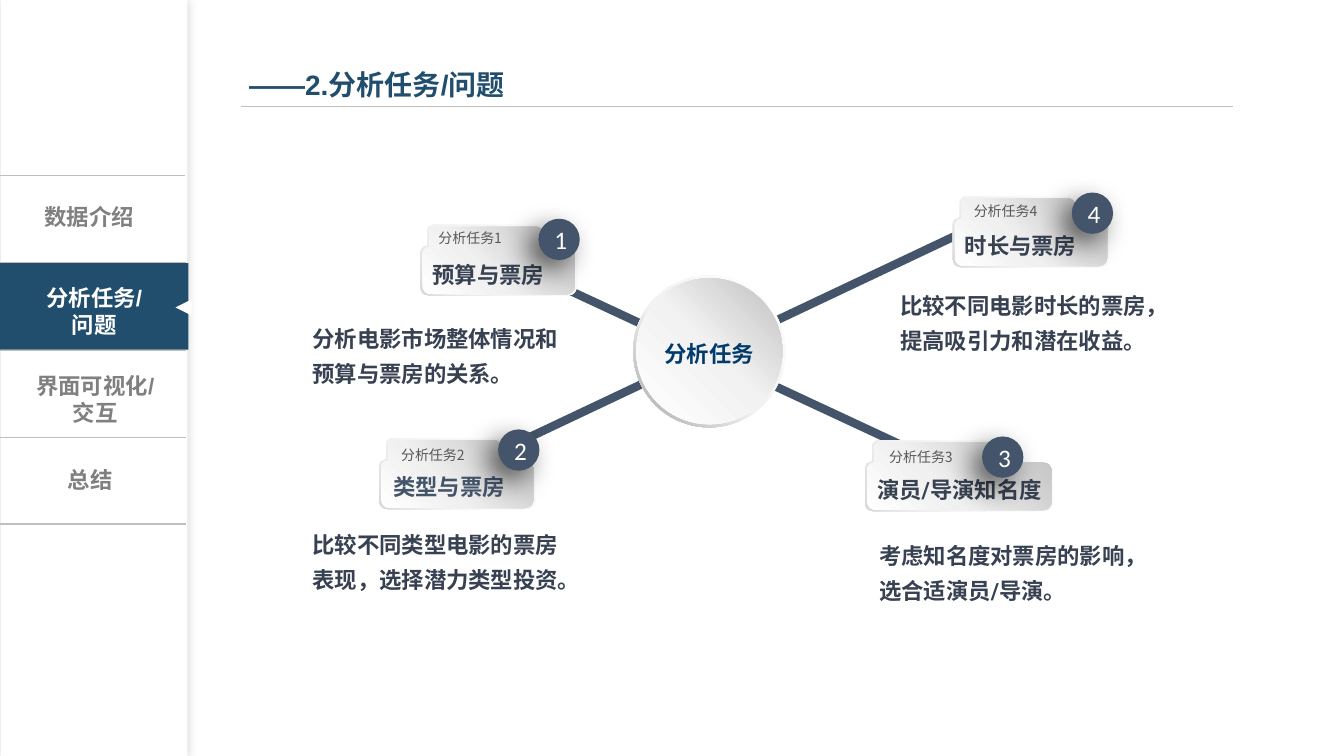
from copy import deepcopy

from lxml import etree
from pptx import Presentation
from pptx.dml.color import RGBColor
from pptx.enum.shapes import MSO_CONNECTOR, MSO_SHAPE
from pptx.enum.text import MSO_ANCHOR, MSO_AUTO_SIZE, PP_ALIGN
from pptx.oxml.ns import qn
from pptx.util import Inches, Pt

LEFT, CENTER = PP_ALIGN.LEFT, PP_ALIGN.CENTER
TOP, MIDDLE = MSO_ANCHOR.TOP, MSO_ANCHOR.MIDDLE
RECTANGLE, TRIANGLE = MSO_SHAPE.RECTANGLE, MSO_SHAPE.ISOSCELES_TRIANGLE
OVAL, DONUT = MSO_SHAPE.OVAL, MSO_SHAPE.DONUT
STRAIGHT = MSO_CONNECTOR.STRAIGHT
NO_AUTOFIT = MSO_AUTO_SIZE.NONE

COLORS = {
    "white": "FFFFFF", "navy": "204E6C", "rule": "BFBFBF", "muted": "808080",
    "slate": "44546A", "ink": "374151", "label": "595959", "hub": "013B6D",
}
CJK_FONT = "Noto Sans CJK SC"

TITLE = "——2.分析任务/问题"
HUB = "分析任务"
NAVIGATION = [
    (["数据介绍"], "muted", (0.15, 1.97, 1.47, 0.38)),
    (["分析任务/\n问题"], "white", (0.2, 2.77, 1.47, 0.64)),
    (["界面可视化/", "交互"], "muted", (0.21, 3.64, 1.47, 0.64)),
    (["总结"], "muted", (0.16, 4.58, 1.47, 0.38)),
]
TASKS = [
    {"number": "1", "name": "预算与票房", "color": "ink", "card": (4.17, 2.23, 1.55),
     "label": (4.25, 2.23, 0.93), "heading": (4.19, 2.54, 1.46), "badge": (5.34, 2.17),
     "body": (3, 3.1), "text": "分析电影市场整体情况和预算与票房的关系。"},
    {"number": "2", "name": "类型与票房", "color": "slate", "card": (3.76, 4.35, 1.55),
     "label": (3.88, 4.38, 0.97), "heading": (3.8, 4.64, 1.62), "badge": (4.94, 4.26),
     "body": (3, 5.14), "text": "比较不同类型电影的票房表现，选择潜力类型投资。"},
    {"number": "3", "name": "演员/导演知名度", "color": "ink", "card": (8.58, 4.37, 1.87),
     "label": (8.72, 4.4, 0.91), "heading": (8.6, 4.67, 1.99), "badge": (9.74, 4.33),
     "body": (8.62, 5.25), "text": "考虑知名度对票房的影响，选合适演员/导演。"},
    {"number": "4", "name": "时长与票房", "color": "ink", "card": (9.45, 1.95, 1.55),
     "label": (9.56, 1.96, 0.89), "heading": (9.47, 2.25, 1.54), "badge": (10.63, 1.91),
     "body": (8.83, 2.77), "text": "比较不同电影时长的票房，提高吸引力和潜在收益。"},
]
SPOKES = [((9.4, 4.63), (5.43, 2.78)), ((4.57, 4.66), (9.56, 2.3))]

CARD_EDGE = ([(0, "FFFFFF"), (62, "F2F2F2"), (100, "D9D9D9")], 135)
CARD_FACE = ([(0, "FFFFFF"), (39, "F0F0F0"), (100, "BFBFBF")], 315)
HUB_EDGE = ([(0, "FFFFFF"), (55, "F2F2F2"), (100, "A6A6A6")], 135)
HUB_FACE = ([(0, "FFFFFF"), (51, "F2F2F2"), (100, "BFBFBF")], 315)
SIDEBAR_WIDTH, NAV_TOP = 1.85, 1.74
NAV_ROWS = [0.87, 0.87, 0.86, 0.86]
CARD_HEIGHT, BADGE_SIZE = 0.7, 0.41
HUB_CENTER = (7.035, 3.485)
CURVE = 0.55
UNITS = 1000

presentation = Presentation()
presentation.slide_width, presentation.slide_height = Inches(13.33), Inches(7.5)
slide = presentation.slides.add_slide(presentation.slide_layouts[5])
shapes = slide.shapes


def rgb(name):
    return RGBColor.from_string(COLORS[name])


def box(left, top, width, height):
    return [Inches(value) for value in (left, top, width, height)]


def write(shape, lines, size, color, font="Arial", bold=True, align=LEFT,
          anchor=TOP, insets=(0.1, 0.05), spacing=None):
    frame = shape.text_frame
    frame.word_wrap, frame.auto_size = True, NO_AUTOFIT
    frame.vertical_anchor = anchor
    frame.margin_left = frame.margin_right = Inches(insets[0])
    frame.margin_top = frame.margin_bottom = Inches(insets[1])
    for index, line in enumerate(lines):
        paragraph = frame.add_paragraph() if index else frame.paragraphs[0]
        paragraph.alignment = align
        paragraph.line_spacing = spacing
        for part, piece in enumerate(line.split("\n")):
            if part:
                paragraph.add_line_break()
                paragraph._p[-1].append(deepcopy(run.font._element))
            run = paragraph.add_run()
            run.text = piece
            run.font.size, run.font.bold = Pt(size), bold
            run.font.color.rgb = rgb(color)
            run.font.name = font
            etree.SubElement(run.font._element, qn("a:ea"), typeface=CJK_FONT)


def add_text(area, lines, size, color, **options):
    write(shapes.add_textbox(*box(*area)), lines, size, color, **options)


def paint(shape, color=None, gradient=None):
    shape.shadow.inherit = False
    shape.line.fill.background()
    if color:
        shape.fill.solid()
        shape.fill.fore_color.rgb = rgb(color)
        return
    stops, angle = gradient
    shape.fill.gradient()
    shape.fill.gradient_angle = 360 - angle
    stop_list = shape._element.spPr.find(qn("a:gradFill")).find(qn("a:gsLst"))
    for stop in list(stop_list):
        stop_list.remove(stop)
    for position, value in stops:
        stop = etree.SubElement(stop_list, qn("a:gs"), pos=str(position * 1000))
        etree.SubElement(stop, qn("a:srgbClr"), val=value)


def add_filled(kind, area, color=None, gradient=None):
    shape = shapes.add_shape(kind, *box(*area))
    paint(shape, color, gradient)
    return shape


def add_shadow(shape, alpha, blur, distance, angle):
    effects = shape._element.spPr.find(qn("a:effectLst"))
    shadow = etree.SubElement(
        effects, qn("a:outerShdw"), blurRad=str(Pt(blur)), dist=str(Pt(distance)),
        dir=str(angle * 60000), algn="ctr", rotWithShape="0")
    color = etree.SubElement(shadow, qn("a:srgbClr"), val="000000")
    etree.SubElement(color, qn("a:alpha"), val=str(alpha * 1000))


def add_line(start, end, color, width):
    line = shapes.add_connector(STRAIGHT, *box(*start, *end))
    line.line.color.rgb, line.line.width = rgb(color), Pt(width)
    etree.SubElement(line._element.spPr, qn("a:effectLst"))


def toward(point, target, distance):
    dx, dy = target[0] - point[0], target[1] - point[1]
    share = distance / (abs(dx) + abs(dy))
    return point[0] + dx * share, point[1] + dy * share


def add_card(left, top, width, height, gradient):
    tab_left, tab_right, shoulder = 0.07, width * 0.787, height * 0.3
    corners = [
        (tab_left, 0, 0.06), (tab_right, 0, 0.06), (tab_right, shoulder, 0),
        (width, shoulder, 0.08), (width, height, 0.08), (0, height, 0.08),
        (0, shoulder, 0.07), (tab_left, shoulder, 0),
    ]
    points, curves = [], {}
    for index, (x, y, radius) in enumerate(corners):
        if not radius:
            points.append((x, y))
            continue
        begin = toward((x, y), corners[index - 1], radius)
        end = toward((x, y), corners[index + 1], radius)
        curves[len(points) + 1] = [
            toward(begin, (x, y), radius * CURVE), toward(end, (x, y), radius * CURVE), end]
        points += [begin, end]
    places = [((left + x) * UNITS, (top + y) * UNITS) for x, y in points]
    builder = shapes.build_freeform(*places[0], scale=Inches(1) / UNITS)
    builder.add_line_segments(places[1:], close=True)
    card = builder.convert_to_shape()
    outline = next(card._element.iter(qn("a:path")))
    for index, controls in curves.items():
        curve = etree.Element(qn("a:cubicBezTo"))
        for x, y in controls:
            etree.SubElement(curve, qn("a:pt"), x=str(round(x * UNITS)), y=str(round(y * UNITS)))
        outline.replace(outline[index], curve)
    paint(card, gradient=gradient)


def add_navigation():
    sidebar = add_filled(RECTANGLE, (0.01, 0, SIDEBAR_WIDTH, 7.5), "white")
    add_shadow(sidebar, 17, 8, 0, 0)
    area = (-0.01, NAV_TOP, SIDEBAR_WIDTH, sum(NAV_ROWS))
    table = shapes.add_table(len(NAV_ROWS), 1, *box(*area)).table
    table.first_row = table.horz_banding = False
    for row, height in zip(table.rows, NAV_ROWS):
        row.height = Inches(height)
    for cell in table.iter_cells():
        cell.fill.background()
        properties = cell._tc.get_or_add_tcPr()
        for index, side in enumerate(("a:lnT", "a:lnB")):
            border = etree.Element(qn(side), w=str(Pt(1)))
            fill = etree.SubElement(border, qn("a:solidFill"))
            etree.SubElement(fill, qn("a:srgbClr"), val=COLORS["rule"])
            properties.insert(index, border)
    active_top = NAV_TOP + NAV_ROWS[0]
    add_filled(RECTANGLE, (0, active_top, 1.87, 0.86), "navy")
    add_filled(TRIANGLE, (1.74, active_top + 0.36, 0.16, 0.16), "white").rotation = 270
    for lines, color, area in NAVIGATION:
        add_text(area, lines, 16, color, align=CENTER, insets=(0, 0.05))


def add_hub():
    for kind, size, gradient in ((DONUT, 1.51, HUB_EDGE), (OVAL, 1.45, HUB_FACE)):
        left, top = (middle - size / 2 for middle in HUB_CENTER)
        disc = add_filled(kind, (left, top, size, size), gradient=gradient)
        if kind == DONUT:
            disc.adjustments[0] = 0.05
    add_text((6.53, 3.37, 1.01, 0.27), [HUB], 16, "hub", font=CJK_FONT,
             align=CENTER, insets=(0, 0))


def add_task(task):
    left, top, width = task["card"]
    add_card(left, top, width, CARD_HEIGHT, CARD_EDGE)
    add_card(left + 0.02, top + 0.02, width - 0.04, CARD_HEIGHT - 0.03, CARD_FACE)
    add_text((*task["label"], 0.27), [HUB + task["number"]], 10, "label",
             font=CJK_FONT, bold=False)
    add_text((*task["heading"], 0.37), [task["name"]], 16, task["color"], font="Roboto")
    add_text((*task["body"], 2.68, 0.77), [task["text"]], 16, "ink",
             font="Roboto", spacing=1.3)
    badge = add_filled(OVAL, (*task["badge"], BADGE_SIZE, BADGE_SIZE), "slate")
    add_shadow(badge, 60, 20, 10, 135)
    write(badge, [task["number"]], 18, "white", font="Calibri", bold=False,
          align=CENTER, anchor=MIDDLE)


title = shapes.title
title.left, title.top, title.width, title.height = box(2.47, 0.62, 2.8, 0.44)
write(title, [TITLE], 20, "navy", insets=(0, 0.05))
add_navigation()
add_line((2.39, 1.06), (12.23, 1.06), "rule", 0.5)
for start, end in SPOKES:
    add_line(start, end, "slate", 6)
add_hub()
for task in TASKS:
    add_task(task)
presentation.save("out.pptx")
